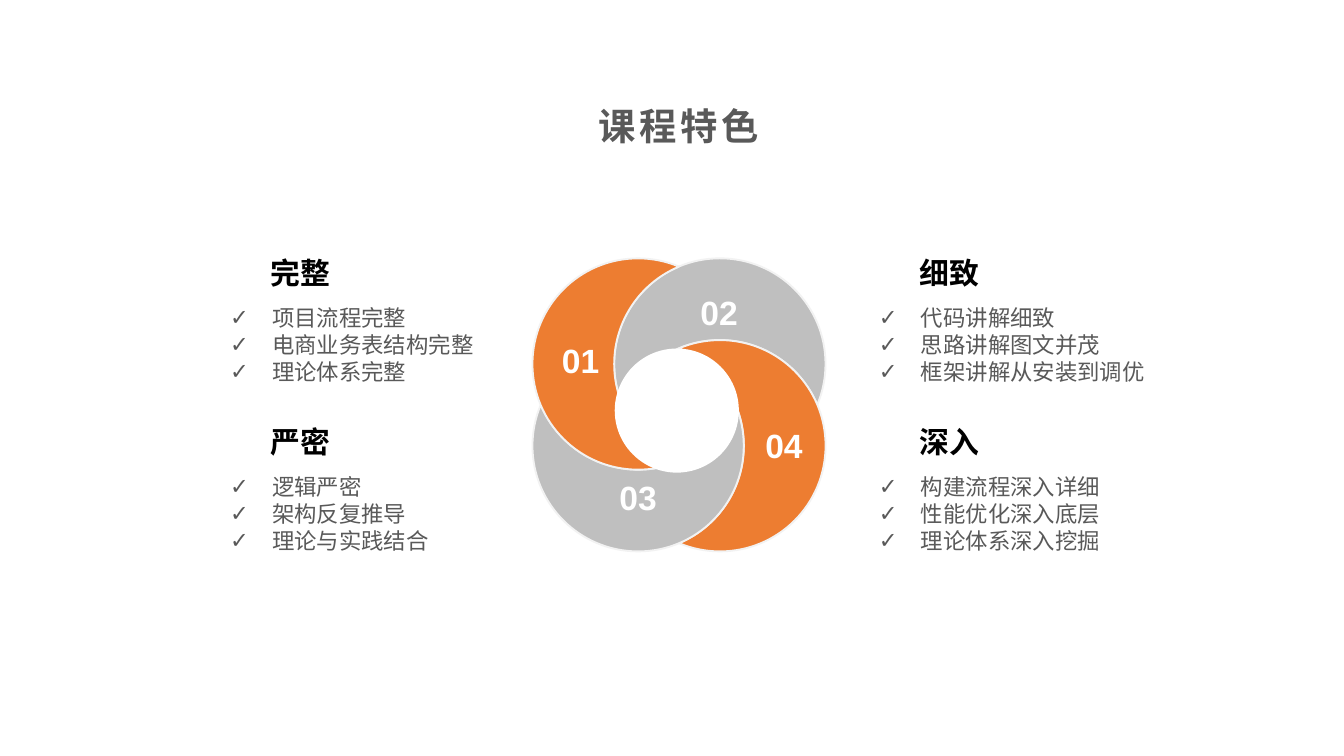
import math
from dataclasses import dataclass

from lxml import etree
from pptx import Presentation
from pptx import util as u
from pptx.dml.color import RGBColor
from pptx.enum import shapes, text
from pptx.oxml import ns


@dataclass(frozen=True)
class Theme:
    font: str = "Arial"
    orange: str = "ED7D31"
    silver: str = "BFBFBF"
    edge: str = "F2F2F2"
    white: str = "FFFFFF"
    black: str = "000000"
    gray: str = "595959"
    title: int = 20
    number: int = 18
    heading: int = 16
    body: int = 12


class SlideWriter:
    def __init__(self, page, theme):
        self.page = page
        self.theme = theme

    def text_box(self, left, top, width, height, lines, size, color,
                 bold=False, align=None, spacing=0, bullet=None):
        box = self.page.shapes.add_textbox(u.Pt(left), u.Pt(top), u.Pt(width), u.Pt(height))
        frame = box.text_frame
        frame.word_wrap = False
        frame.auto_size = text.MSO_AUTO_SIZE.SHAPE_TO_FIT_TEXT
        for index, line in enumerate(lines):
            para = frame.add_paragraph() if index else frame.paragraphs[0]
            para.alignment = align
            if bullet:
                self.add_bullet(para, bullet)
            span = para.add_run()
            span.text = line
            span.font.name = self.theme.font
            span.font.size = u.Pt(size)
            span.font.bold = bold
            span.font.color.rgb = RGBColor.from_string(color)
            properties = span.font._element
            east_asian = etree.SubElement(properties, ns.qn("a:ea"))
            east_asian.set("typeface", self.theme.font)
            if spacing:
                properties.set("spc", str(spacing * 100))

    def add_bullet(self, para, mark):
        properties = para._p.get_or_add_pPr()
        properties.set("marL", str(u.Pt(22.5)))
        properties.set("indent", str(-u.Pt(22.5)))
        etree.SubElement(properties, ns.qn("a:buFont")).set("typeface", self.theme.font)
        etree.SubElement(properties, ns.qn("a:buChar")).set("char", mark)

    def paint(self, shape, fill, line):
        shape.shadow.inherit = False
        shape.fill.solid()
        shape.fill.fore_color.rgb = RGBColor.from_string(fill)
        shape.line.color.rgb = RGBColor.from_string(line)
        shape.line.width = u.Pt(1)

    def curve(self, points, rotation, fill, line):
        """Closed outline: a start point, then three points per Bezier curve."""
        start, *rest = [(u.Pt(x), u.Pt(y)) for x, y in points]
        builder = self.page.shapes.build_freeform(*start)
        builder.add_line_segments(rest, close=True)
        shape = builder.convert_to_shape()
        steps = list(shape._element.iter(ns.qn("a:lnTo")))
        for first in range(0, len(steps), 3):
            bezier = etree.Element(ns.qn("a:cubicBezTo"))
            steps[first].addprevious(bezier)
            for step in steps[first:first + 3]:
                bezier.append(step[0])
                step.getparent().remove(step)
        shape.rotation = rotation
        self.paint(shape, fill, line)

    def disc(self, left, top, size, fill):
        shape = self.page.shapes.add_shape(
            shapes.MSO_SHAPE.OVAL, u.Pt(left), u.Pt(top), u.Pt(size), u.Pt(size))
        self.paint(shape, fill, fill)


def arc(center_y, radius, angles):
    """Bezier points around (0, center_y), one curve per pair of angles."""
    points = []
    for start, end in zip(angles, angles[1:]):
        a, b = math.radians(start), math.radians(end)
        pull = 4 / 3 * math.tan((b - a) / 4)
        unit = [(math.cos(a) - pull * math.sin(a), math.sin(a) + pull * math.cos(a)),
                (math.cos(b) + pull * math.sin(b), math.sin(b) - pull * math.cos(b)),
                (math.cos(b), math.sin(b))]
        points += [(radius * x, center_y + radius * y) for x, y in unit]
    return points


def petal(center_x, center_y, offset, radius, turns):
    """Crescent between two circles, placed for its quarter turns."""
    tilt = math.degrees(math.asin(offset / radius))
    outer = arc(-offset, radius, [180 - tilt, 180, 270, 360, 360 + tilt])
    inner = arc(offset, radius, [360 - tilt, 270, 180 + tilt])
    middle = -(offset + radius) / 2
    x, y = offset, middle
    for _ in range(turns):
        x, y = -y, x
    return [(center_x + x + px, center_y + y + py - middle)
            for px, py in [inner[-1]] + outer + inner]


def main():
    deck = Presentation()
    deck.slide_width, deck.slide_height = u.Pt(720), u.Pt(405)
    theme = Theme()
    writer = SlideWriter(deck.slides.add_slide(deck.slide_layouts[6]), theme)

    # Title
    writer.text_box(313.5, 51.8, 103.7, 31.7, ["课程特色"], theme.title, theme.gray,
                    bold=True, align=text.PP_ALIGN.JUSTIFY, spacing=2)

    # Pinwheel of four petals, clockwise from the top
    for turns in range(4):
        fill = theme.orange if turns % 2 else theme.silver
        writer.curve(petal(363.75, 216.9, 21.9, 56.6, turns), 90 * turns,
                     fill, theme.edge)

    # Petal numbers
    for number, left, top in [("01", 293.9, 178.6), ("02", 368.1, 152.9),
                              ("04", 402.9, 223.9), ("03", 324.7, 252)]:
        writer.text_box(left, top, 34.6, 28.8, [number], theme.number,
                        theme.white, bold=True)

    # White hub
    writer.disc(329.8, 187.2, 65.5, theme.white)

    # Feature blocks: column, row, heading, list width, points
    features = [
        (0, 0, "完整", 146.2, ["项目流程完整", "电商业务表结构完整", "理论体系完整"]),
        (1, 0, "细致", 158.4, ["代码讲解细致", "思路讲解图文并茂", "框架讲解从安装到调优"]),
        (0, 1, "严密", 122.4, ["逻辑严密", "架构反复推导", "理论与实践结合"]),
        (1, 1, "深入", 133.9, ["构建流程深入详细", "性能优化深入底层", "理论体系深入挖掘"]),
    ]
    for column, row, heading, width, points in features:
        left = 116.2 + 347.6 * column
        top = 132.8 + 90.4 * row
        writer.text_box(left + 21.8, top, 46.8, 26.6, [heading], theme.heading,
                        theme.black, bold=True)
        writer.text_box(left, top + 26.7, width, 51.1, points, theme.body,
                        theme.gray, bullet="✓")

    deck.save("out.pptx")


if __name__ == "__main__":
    main()
